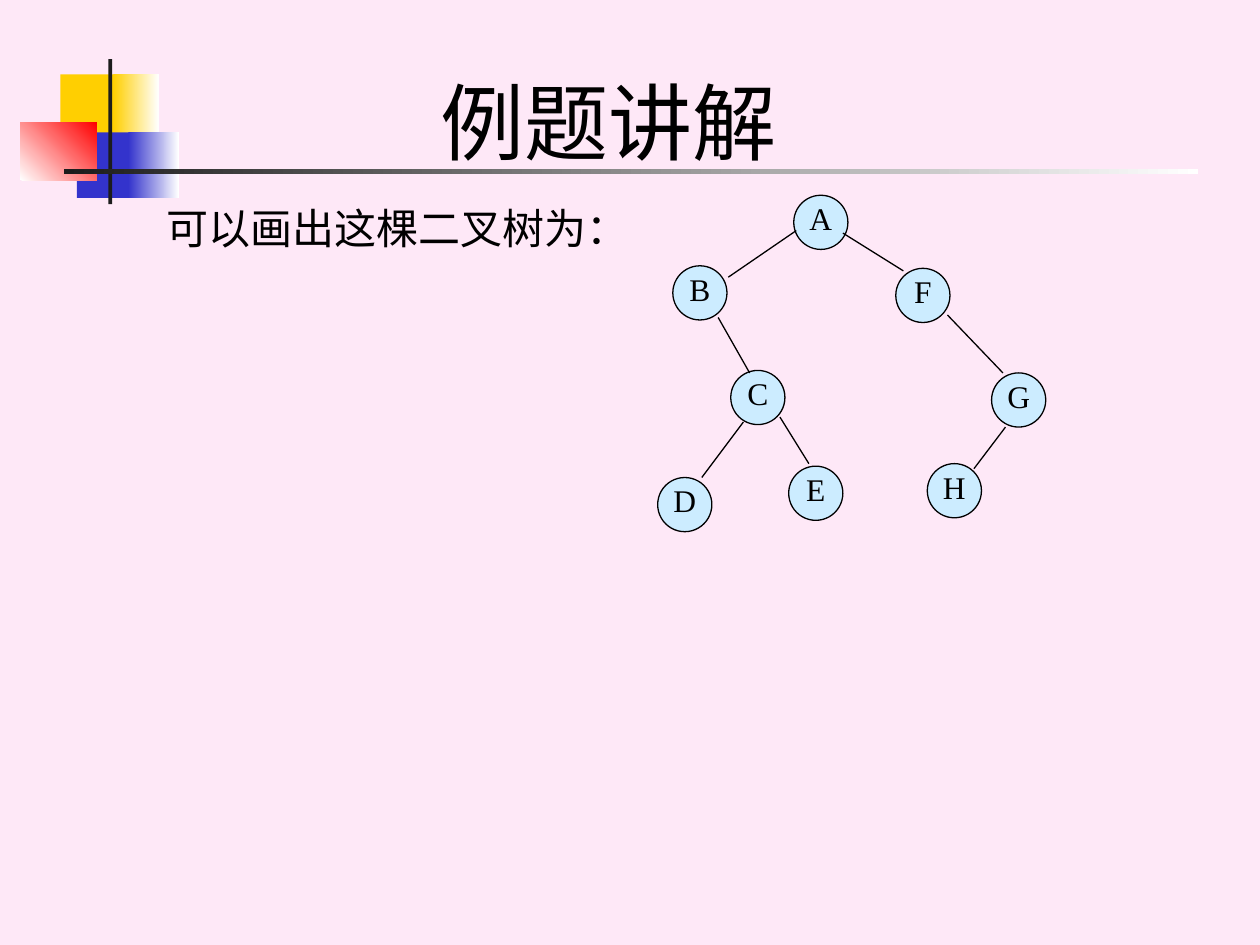
from lxml import etree
from pptx import Presentation
from pptx.dml.color import RGBColor
from pptx.enum import shapes, text
from pptx.oxml import ns
from pptx.util import Inches, Pt

BLACK = "000000"
INK = "1C1C1C"
WHITE = "FFFFFF"
YELLOW = "FFCF01"
BLUE = "3333CC"
RED = "FF0000"
NODE_FILL = "CCECFF"
NODE_SIZE = 0.43

# Left and top of each node, relative to the tree's box
NODES = {
    "A": (1.08, 0), "F": (1.89, 0.58), "G": (2.65, 1.41), "H": (2.14, 2.13),
    "E": (1.04, 2.15), "D": (0, 2.24), "C": (0.58, 1.39), "B": (0.12, 0.56),
}
# Start and end of each branch, relative to the tree's box
BRANCHES = {
    "AB": (1.1, 0.28, 0.56, 0.65), "AF": (1.47, 0.3, 1.95, 0.6),
    "BC": (0.48, 0.97, 0.73, 1.41), "CE": (0.97, 1.76, 1.2, 2.13),
    "CD": (0.68, 1.8, 0.35, 2.24), "FG": (2.3, 0.95, 2.74, 1.41),
    "GH": (2.76, 1.84, 2.51, 2.17),
}


def color(hex_string):
    return RGBColor.from_string(hex_string)


def write(shape, words, size, font="Times New Roman", align=text.PP_ALIGN.LEFT,
          anchor=text.MSO_ANCHOR.TOP, insets=(0.1, 0.05, 0.1, 0.05),
          spacing=1.0, before=0, fit=text.MSO_AUTO_SIZE.NONE):
    frame = shape.text_frame
    frame.word_wrap = True
    frame.auto_size = fit
    frame.vertical_anchor = anchor
    (frame.margin_left, frame.margin_top,
     frame.margin_right, frame.margin_bottom) = map(Inches, insets)
    paragraph = frame.paragraphs[0]
    paragraph.alignment = align
    paragraph.line_spacing = spacing
    paragraph.space_before = Pt(before)
    run = paragraph.add_run()
    run.text = words
    run.font.size = Pt(size)
    run.font.name = font
    run.font.color.rgb = color(BLACK)
    return paragraph


def place(shape, left, top, width, height):
    shape.left, shape.top = Inches(left), Inches(top)
    shape.width, shape.height = Inches(width), Inches(height)


def add_block(slide, box, start, end=None, angle=0):
    """Add a borderless rectangle, solid or fading from start to end."""
    shape = slide.shapes.add_shape(
        shapes.MSO_SHAPE.RECTANGLE, *map(Inches, box))
    shape.shadow.inherit = False
    shape.line.fill.background()
    if end is None:
        shape.fill.solid()
        shape.fill.fore_color.rgb = color(start)
        return
    shape.fill.gradient()
    shape.fill.gradient_angle = angle
    for stop, shade in zip(shape.fill.gradient_stops, (start, end)):
        stop.color.rgb = color(shade)


def add_ornament(slide, left, top):
    """Overlapping colour blocks with a cross of two rules."""
    blocks = [
        (0.32, 0.12, 0.48, 0.52, YELLOW),
        (0.74, 0.12, 0.36, 0.52, YELLOW, WHITE),
        (0.45, 0.58, 0.46, 0.52, BLUE),
        (0.86, 0.58, 0.4, 0.52, BLUE, WHITE),
        (0, 0.5, 0.61, 0.46, WHITE, RED, 45),
        (0.7, 0, 0.03, 1.15, INK),
        (0.35, 0.87, 9, 0.04, INK, WHITE),
    ]
    for x, y, width, height, *paint in blocks:
        add_block(slide, (left + x, top + y, width, height), *paint)


def add_title(slide, *box):
    title = slide.shapes.title
    place(title, *box)
    write(title, "例题讲解", 48, font="Cabin", align=text.PP_ALIGN.CENTER,
          fit=text.MSO_AUTO_SIZE.SHAPE_TO_FIT_TEXT)


def add_lead(slide, *box):
    body = slide.placeholders[1]
    place(body, *box)
    paragraph = write(body, "可以画出这棵二叉树为：", 24, before=15,
                      fit=text.MSO_AUTO_SIZE.SHAPE_TO_FIT_TEXT)
    # Plain paragraph: no bullet, no hanging indent
    properties = paragraph._p.get_or_add_pPr()
    properties.set("marL", "0")
    properties.set("indent", "0")
    etree.SubElement(properties, ns.qn("a:buNone"))


def add_node(group, letter, left, top):
    node = group.shapes.add_shape(
        shapes.MSO_SHAPE.OVAL, Inches(left), Inches(top),
        Inches(NODE_SIZE), Inches(NODE_SIZE))
    node.shadow.inherit = False
    node.fill.solid()
    node.fill.fore_color.rgb = color(NODE_FILL)
    node.line.color.rgb = color(BLACK)
    node.line.width = Pt(0.75)
    write(node, letter, 18, align=text.PP_ALIGN.CENTER, spacing=0.96,
          anchor=text.MSO_ANCHOR.MIDDLE, insets=(0, 0, 0, 0.04))


def add_branch(group, *ends):
    branch = group.shapes.add_connector(
        shapes.MSO_CONNECTOR.STRAIGHT, *map(Inches, ends))
    branch.line.color.rgb = color(BLACK)
    branch.line.width = Pt(0.75)
    etree.SubElement(branch._element.spPr, ns.qn("a:effectLst"))


def add_tree(slide, left, top):
    group = slide.shapes.add_group_shape()
    for letter, (x, y) in NODES.items():
        add_node(group, letter, left + x, top + y)
    for x1, y1, x2, y2 in BRANCHES.values():
        add_branch(group, left + x1, top + y1, left + x2, top + y2)


def main():
    presentation = Presentation()
    presentation.slide_width = Inches(10)
    presentation.slide_height = Inches(7.5)
    slide = presentation.slides.add_slide(presentation.slide_layouts[1])
    slide.background.fill.solid()
    slide.background.fill.fore_color.rgb = color("FEE8F7")

    add_ornament(slide, 0.16, 0.47)
    add_tree(slide, 5.22, 1.55)
    add_lead(slide, 1.22, 1.56, 4.02, 0.5)
    add_title(slide, 0.57, 0.51, 8.52, 0.9)
    presentation.save("out.pptx")


if __name__ == "__main__":
    main()
